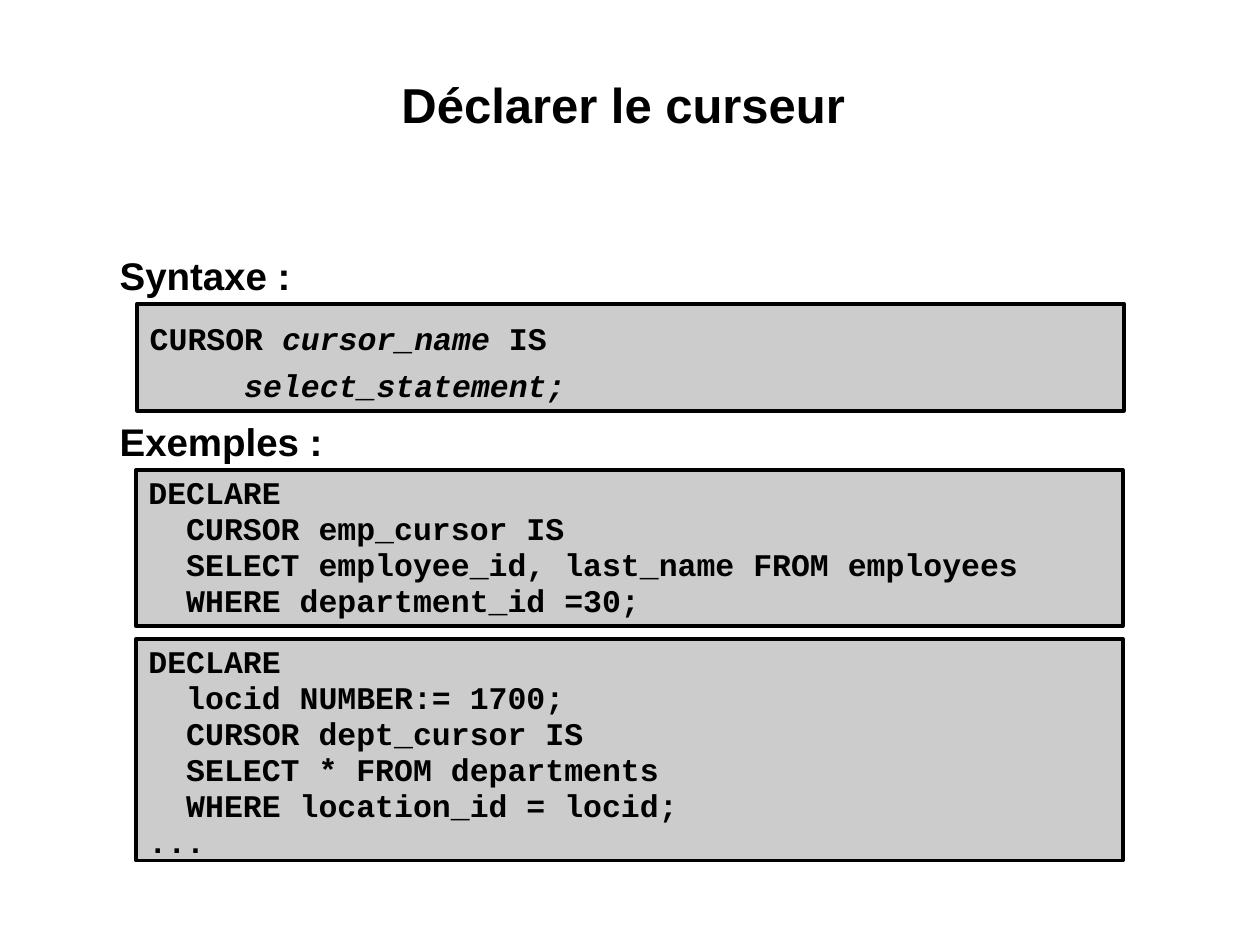
from pptx import Presentation
from pptx.dml.color import RGBColor
from pptx.enum.shapes import MSO_SHAPE
from pptx.enum.text import MSO_ANCHOR, PP_ALIGN
from pptx.util import Inches, Pt


def color(hex_string):
    return RGBColor.from_string(hex_string)


class SlideBuilder:
    TEXT_FONT, CODE_FONT = "Arial", "Courier New"
    INK, CODE_FILL = "000000", "CCCCCC"

    def __init__(self, presentation):
        self.slide = presentation.slides.add_slide(presentation.slide_layouts[6])

    def set_frame(self, frame, left_right, top, bottom):
        """Wrap the text, anchor it at the top and set the insets."""
        frame.word_wrap = True
        frame.vertical_anchor = MSO_ANCHOR.TOP
        frame.margin_left = frame.margin_right = Inches(left_right)
        frame.margin_top, frame.margin_bottom = Inches(top), Inches(bottom)

    def set_font(self, paragraph, name, size):
        font = paragraph.font
        font.name, font.size, font.bold = name, Pt(size), True
        font.color.rgb = color(self.INK)

    def heading(self, text, left, top, width, height, size=22, align=PP_ALIGN.LEFT):
        box = self.slide.shapes.add_textbox(
            Inches(left), Inches(top), Inches(width), Inches(height))
        self.set_frame(box.text_frame, 0.01, 0.01, 0.01)
        paragraph = box.text_frame.paragraphs[0]
        paragraph.text = text
        paragraph.alignment = align
        self.set_font(paragraph, self.TEXT_FONT, size)

    def code_box(self, lines, left, top, height, spacing=0.95, bottom=0.05):
        """Draw a code panel; each line is a list of (text, italic) runs."""
        shape = self.slide.shapes.add_shape(
            MSO_SHAPE.RECTANGLE, Inches(left), Inches(top), Inches(7.83), Inches(height))
        shape.shadow.inherit = False
        shape.fill.solid()
        shape.fill.fore_color.rgb = color(self.CODE_FILL)
        shape.line.color.rgb = color(self.INK)
        shape.line.width = Pt(2.25)
        frame = shape.text_frame
        self.set_frame(frame, 0.1, 0.05, bottom)
        for index, runs in enumerate(lines):
            paragraph = frame.add_paragraph() if index else frame.paragraphs[0]
            paragraph.alignment = PP_ALIGN.LEFT
            paragraph.line_spacing = spacing
            self.set_font(paragraph, self.CODE_FONT, 18)
            for text, italic in runs:
                for part_index, part in enumerate(text.split("\n")):
                    if part_index:
                        paragraph.add_line_break()
                    run = paragraph.add_run()
                    run.text = part
                    if italic:
                        run.font.italic = True


def plain(*lines):
    return [[(line, False)] for line in lines]


def main():
    presentation = Presentation()
    presentation.slide_width, presentation.slide_height = Inches(10), Inches(7.5)
    builder = SlideBuilder(presentation)

    builder.heading("Déclarer le curseur ", 1, 0.58, 8, 0.96, 28, PP_ALIGN.CENTER)

    builder.heading("Syntaxe\u00a0:", 0.94, 1.99, 8.06, 0.39)
    syntax = [
        [("CURSOR ", False), ("cursor_name ", True), ("IS", False)],
        [("     select_statement;", True)],
    ]
    builder.code_box(syntax, 1.09, 2.41, 0.85, spacing=1.25)

    builder.heading("Exemples\u00a0:", 0.94, 3.31, 8.06, 0.39)
    builder.code_box(plain(
        "DECLARE",
        "  CURSOR emp_cursor IS",
        "  SELECT employee_id, last_name FROM employees\n  WHERE department_id =30;",
    ), 1.08, 3.73, 1.24)
    builder.code_box(plain(
        "DECLARE",
        "  locid NUMBER:= 1700;",
        "  CURSOR dept_cursor IS",
        "  SELECT * FROM departments \n  WHERE location_id = locid;",
        "...",
    ), 1.08, 5.07, 1.76, bottom=0)

    presentation.save("out.pptx")


if __name__ == "__main__":
    main()
